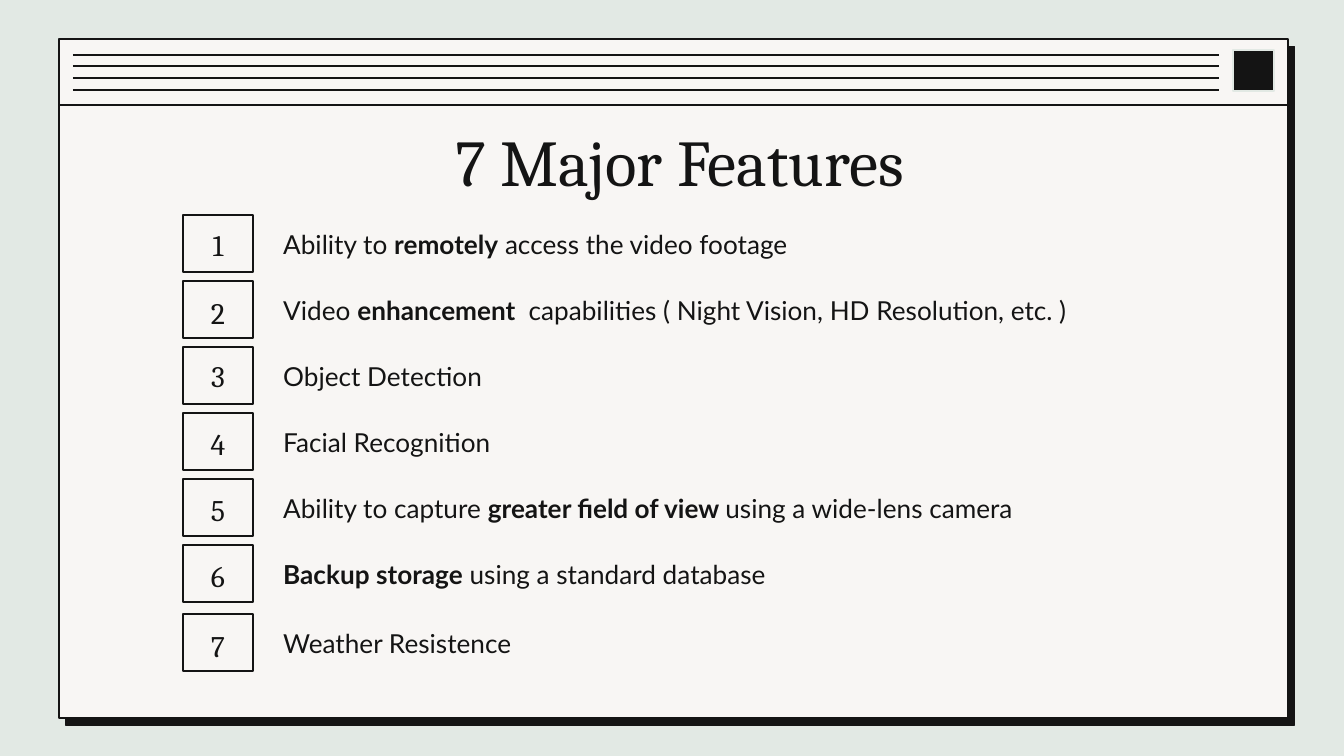
from lxml import etree
from pptx import Presentation, util as u
from pptx.dml.color import RGBColor
from pptx.enum import shapes, text
from pptx.oxml import parse_xml
from pptx.oxml.ns import nsdecls, qn

PX = 914400 / 134.4
HUES = {"back": "E2E9E4", "card": "F8F6F4", "ink": "141414"}
HEAD, BODY = "Cambria", "Lato"

# number top in px, then the feature with its bold part between stars
ROWS = [
    (220, "Ability to *remotely* access the video footage"),
    (288, "Video *enhancement * capabilities ( Night Vision, HD Resolution, etc. )"),
    (351, "Object Detection"),
    (419, "Facial Recognition"),
    (485, "Ability to capture *greater field of view *using a wide-lens camera"),
    (551, "*Backup storage* using a standard database"),
    (621, "Weather Resistence"),
]


def px(n):
    return u.Emu(round(n * PX))


def hue(name):
    return RGBColor.from_string(HUES[name])


class Page:
    def __init__(self, slide):
        self.slide = slide
        fill = slide.background.fill
        fill.solid()
        fill.fore_color.rgb = hue("back")

    def stroke(self, line, name="ink"):
        line.color.rgb = hue(name)
        line.width = u.Pt(0.75)

    def rect(self, x, y, w, h, fill=None, edge="ink"):
        box = self.slide.shapes.add_shape(
            shapes.MSO_SHAPE.RECTANGLE, px(x), px(y), px(w), px(h))
        box.shadow.inherit = False
        if fill:
            box.fill.solid()
            box.fill.fore_color.rgb = hue(fill)
        else:
            box.fill.background()
        self.stroke(box.line, edge)
        return box

    def shade(self, box):
        """Give the box a hard shadow to the lower right."""
        box._element.spPr.find(qn("a:effectLst")).append(parse_xml(
            f'<a:outerShdw {nsdecls("a")} dist="66040" dir="2940000" '
            f'algn="bl" rotWithShape="0"><a:srgbClr val="{HUES["ink"]}"/>'
            '</a:outerShdw>'))

    def rule(self, x, y, end):
        line = self.slide.shapes.add_connector(
            shapes.MSO_CONNECTOR.STRAIGHT, px(x), px(y), px(end), px(y))
        self.stroke(line.line)
        etree.SubElement(line._element.spPr, qn("a:effectLst"))

    def label(self, x, y, w, h, words, size, font, mid=True, centre=True):
        """Add text; parts between stars are bold."""
        box = self.slide.shapes.add_textbox(px(x), px(y), px(w), px(h))
        frame = box.text_frame
        frame.word_wrap = True
        if mid:
            frame.vertical_anchor = text.MSO_ANCHOR.MIDDLE
            frame.margin_top = frame.margin_bottom = u.Inches(0.1)
        para = frame.paragraphs[0]
        para.alignment = text.PP_ALIGN.CENTER if centre else text.PP_ALIGN.LEFT
        for i, part in enumerate(words.split("*")):
            if not part:
                continue
            run = para.add_run()
            run.text = part
            run.font.size = u.Pt(size)
            run.font.name = font
            run.font.bold = i % 2 == 1
            run.font.color.rgb = hue("ink")


def main():
    deck = Presentation()
    deck.slide_width, deck.slide_height = px(1344), px(756)
    page = Page(deck.slides.add_slide(deck.slide_layouts[6]))

    page.shade(page.rect(59, 39, 1229, 679, "card"))
    page.rect(1233, 50, 41, 41, "ink", "back")
    page.rule(60, 105, 1288)
    for y in (55, 66, 78, 90):
        page.rule(73, y, 1219)
    page.label(106, 118, 1133, 85, " 7 Major Features", 35, HEAD)

    for i, (num, words) in enumerate(ROWS):
        top = 215 + 66 * i + (3 if i == len(ROWS) - 1 else 0)
        page.rect(183, top, 70, 57)
        page.label(183, num, 70, 50, str(i + 1), 16, HEAD, mid=False)
        page.label(270, top, 872, 58, words, 14, BODY, centre=False)

    deck.save("out.pptx")


if __name__ == "__main__":
    main()
